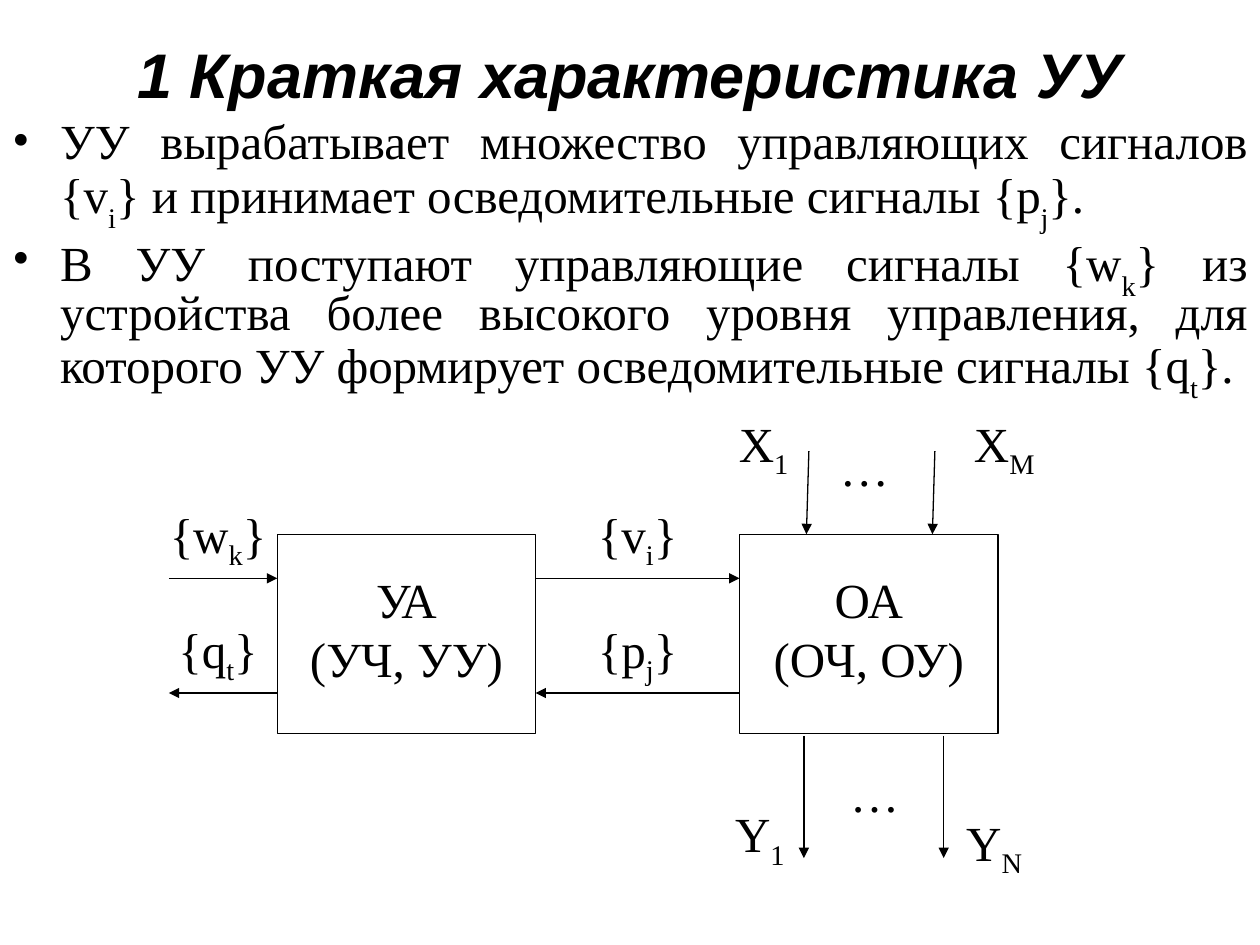
from dataclasses import dataclass

from lxml import etree
from pptx import Presentation
from pptx.dml.color import RGBColor
from pptx.enum.shapes import MSO_CONNECTOR, MSO_SHAPE
from pptx.enum.text import MSO_ANCHOR, PP_ALIGN
from pptx.oxml.ns import qn
from pptx.util import Inches, Pt

CENTER, JUSTIFY = PP_ALIGN.CENTER, PP_ALIGN.JUSTIFY
TOP, MIDDLE = MSO_ANCHOR.TOP, MSO_ANCHOR.MIDDLE
RECTANGLE, STRAIGHT = MSO_SHAPE.RECTANGLE, MSO_CONNECTOR.STRAIGHT

COLORS = {"ink": "000000", "paper": "FFFFFF"}
HEAD_FONT, TEXT_FONT = "Arial", "Times New Roman"
WIDTH, HEIGHT = Inches(10), Inches(7.5)
COLUMNS, ROWS = 100, 75  # square grid cells


@dataclass
class Block:
    """A rectangle with a two-line caption."""
    left: float
    lines: list[str]


@dataclass
class Label:
    """A centred text; "_" lowers the one character after it."""
    left: float
    top: float
    text: str


@dataclass
class Arrow:
    x1: float
    y1: float
    x2: float
    y2: float


# Diagram grid
BLOCK_TOP, BLOCK_WIDTH, BLOCK_HEIGHT = 42.4, 20.5, 15.8
CAPTION_TOP, CAPTION_WIDTH, CAPTION_HEIGHT = 44.7, 22.2, 10.9
LABEL_WIDTH, LABEL_HEIGHT = 12.8, 6.9
CONTROL_X, OPERATION_X, OUTER_X = 22, 58.7, 13.4
CONTROL_RIGHT = CONTROL_X + BLOCK_WIDTH
UPPER_Y, LOWER_Y = 45.9, 55
LABEL_LIFT = 6.35  # label top above its signal line

BULLETS = [
    "УУ вырабатывает множество управляющих сигналов {v_i} "
    "и принимает осведомительные сигналы {p_j}.",
    "В УУ поступают управляющие сигналы {w_k} из устройства более высокого "
    "уровня управления, для которого УУ формирует осведомительные сигналы {q_t}.",
]
BLOCKS = [
    Block(CONTROL_X, ["УА", "(УЧ, УУ)"]),
    Block(OPERATION_X, ["ОА", "(ОЧ, ОУ)"]),
]
LABELS = [
    Label(10.9, UPPER_Y - LABEL_LIFT, "{w_k}"),
    Label(10.9, LOWER_Y - LABEL_LIFT, "{q_t}"),
    Label(44.2, UPPER_Y - LABEL_LIFT, "{v_i}"),
    Label(44.2, LOWER_Y - LABEL_LIFT, "{p_j}"),
    Label(54.2, 32.3, "X_1"),
    Label(62.2, 34.2, "…"),
    Label(73.3, 32.3, "X_M"),
    Label(53.9, 63.3, "Y_1"),
    Label(63, 60.1, "…"),
    Label(72.5, 64, "Y_N"),
]
ARROWS = [
    Arrow(OUTER_X, UPPER_Y, CONTROL_X, UPPER_Y),
    Arrow(CONTROL_X, LOWER_Y, OUTER_X, LOWER_Y),
    Arrow(CONTROL_RIGHT, UPPER_Y, OPERATION_X, UPPER_Y),
    Arrow(OPERATION_X, LOWER_Y, CONTROL_RIGHT, LOWER_Y),
    *[Arrow(x + 0.2, 35.8, x, BLOCK_TOP) for x in (64, 74)],
    *[Arrow(x, 58.4, x, 68.1) for x in (63.8, 74.9)],
]


def col(number: float) -> int:
    return round(WIDTH * number / COLUMNS)


def row(number: float) -> int:
    return round(HEIGHT * number / ROWS)


def color(name: str) -> RGBColor:
    return RGBColor.from_string(COLORS[name])


def add_span(para, text: str, size: float, font: str, bold: bool, drop: int = 0) -> None:
    span = para.add_run()
    span.text = text
    span.font.name, span.font.size = font, Pt(size)
    span.font.bold = span.font.italic = bold
    span.font.color.rgb = color("ink")
    if drop:
        span.font._element.set("baseline", str(-drop * 1000))


def add_text(page, left: float, top: float, width: float, height: float,
             lines: list[str], size: float = 28, font: str = TEXT_FONT,
             bold: bool = False, align=CENTER, anchor=TOP, drop: int = 25):
    box = page.shapes.add_textbox(col(left), row(top), col(width), row(height))
    frame = box.text_frame
    frame.word_wrap = True
    frame.vertical_anchor = anchor
    for index, line in enumerate(lines):
        para = frame.add_paragraph() if index else frame.paragraphs[0]
        para.alignment = align
        start, *rest = line.split("_")
        add_span(para, start, size, font, bold)
        for piece in rest:
            add_span(para, piece[0], size, font, bold, drop)
            if piece[1:]:
                add_span(para, piece[1:], size, font, bold)
    return box


def add_bullets(box) -> None:
    for para in box.text_frame.paragraphs:
        para.line_spacing = 0.8
        para.space_before = Pt(7)
        props = para._p.get_or_add_pPr()
        props.set("marL", str(Inches(0.38)))
        props.set("indent", str(-Inches(0.38)))
        tint = etree.SubElement(props, qn("a:buClr"))
        etree.SubElement(tint, qn("a:srgbClr"), val=COLORS["ink"])
        etree.SubElement(props, qn("a:buFont"), typeface=TEXT_FONT)
        etree.SubElement(props, qn("a:buChar"), char="•")


def add_block(page, block: Block) -> None:
    frame = page.shapes.add_shape(RECTANGLE, col(block.left), row(BLOCK_TOP),
                                  col(BLOCK_WIDTH), row(BLOCK_HEIGHT))
    frame.shadow.inherit = False
    frame.fill.background()
    frame.line.color.rgb = color("ink")
    frame.line.width = Pt(0.75)
    inset = (CAPTION_WIDTH - BLOCK_WIDTH) / 2
    add_text(page, block.left - inset, CAPTION_TOP, CAPTION_WIDTH,
             CAPTION_HEIGHT, block.lines)


def add_arrow(page, arrow: Arrow) -> None:
    line = page.shapes.add_connector(STRAIGHT, col(arrow.x1), row(arrow.y1),
                                     col(arrow.x2), row(arrow.y2))
    line.line.color.rgb = color("ink")
    line.line.width = Pt(0.75)
    etree.SubElement(line.line._get_or_add_ln(), qn("a:tailEnd"), type="triangle")
    etree.SubElement(line._element.spPr, qn("a:effectLst"))


def main() -> None:
    deck = Presentation()
    deck.slide_width, deck.slide_height = WIDTH, HEIGHT
    page = deck.slides.add_slide(deck.slide_layouts[6])
    page.background.fill.solid()
    page.background.fill.fore_color.rgb = color("paper")

    # Heading and bullet list
    add_text(page, 7.5, 0.8, 85, 10, ["1 Краткая характеристика УУ"],
             size=36, font=HEAD_FONT, bold=True, anchor=MIDDLE)
    add_bullets(add_text(page, 0, 9.2, 100, 24.2, BULLETS, align=JUSTIFY, drop=30))

    # Block diagram
    for block in BLOCKS:
        add_block(page, block)
    for arrow in ARROWS:
        add_arrow(page, arrow)
    for label in LABELS:
        add_text(page, label.left, label.top, LABEL_WIDTH, LABEL_HEIGHT, [label.text])

    deck.save("out.pptx")


if __name__ == "__main__":
    main()
